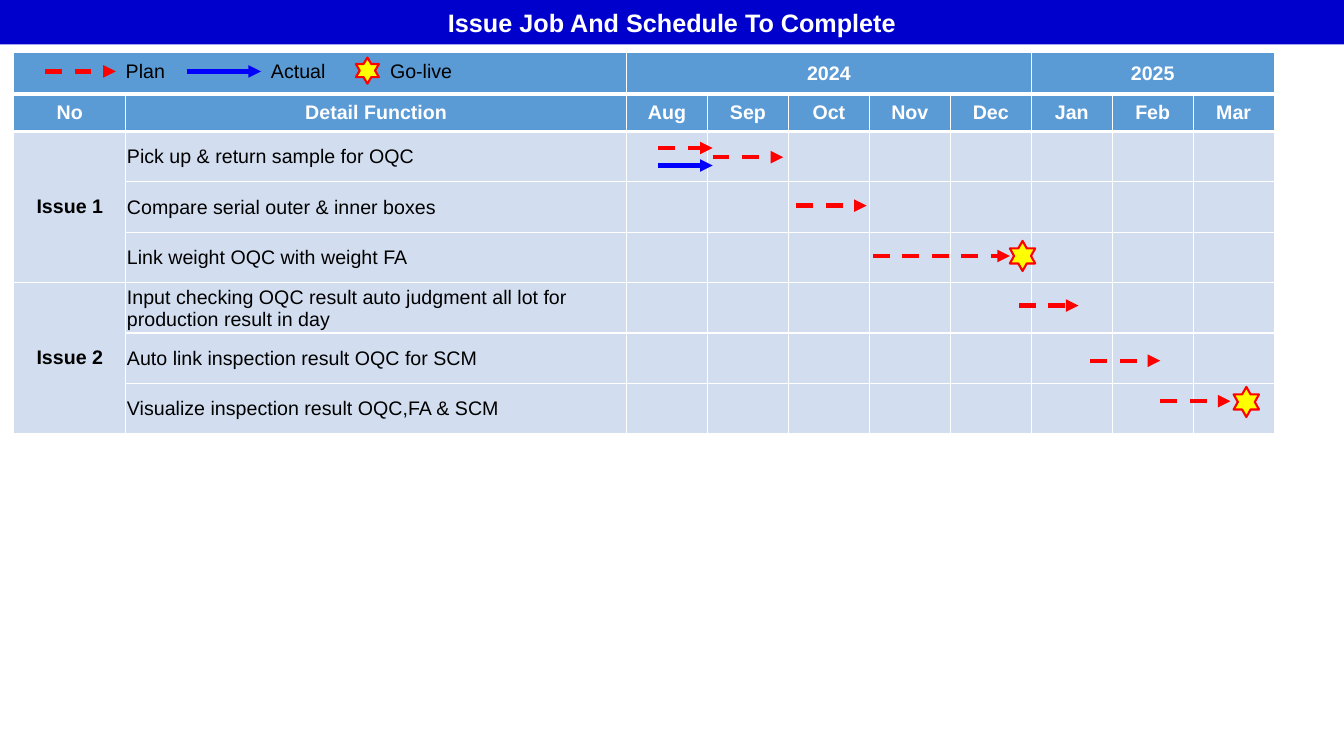
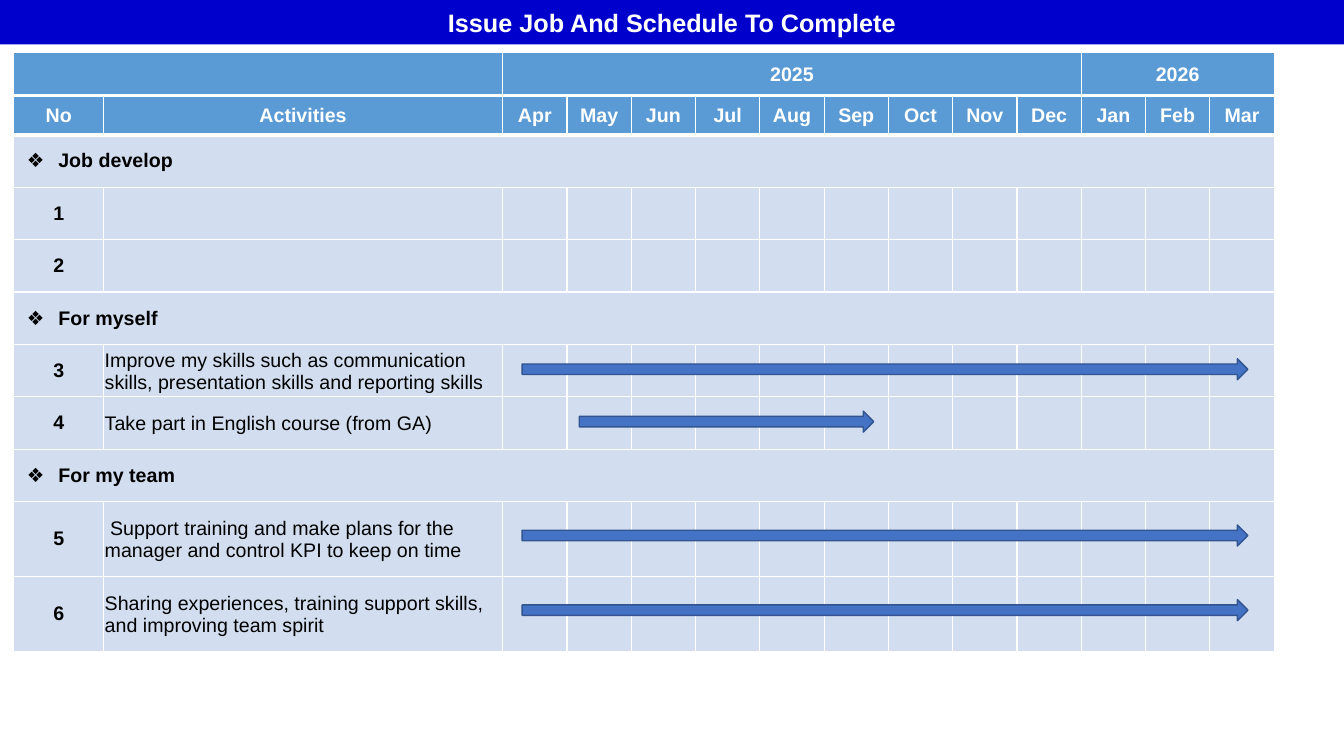
from lxml import etree
from pptx import Presentation
from pptx.dml.color import RGBColor
from pptx.enum.dml import MSO_LINE
from pptx.enum.shapes import MSO_CONNECTOR, MSO_SHAPE
from pptx.enum.text import MSO_ANCHOR, PP_ALIGN
from pptx.oxml import parse_xml
from pptx.oxml.ns import nsdecls, qn
from pptx.util import Cm, Pt

DASH = MSO_LINE.DASH
STRAIGHT = MSO_CONNECTOR.STRAIGHT
STAR, ARROW = MSO_SHAPE.STAR_6_POINT, MSO_SHAPE.RIGHT_ARROW
MIDDLE = MSO_ANCHOR.MIDDLE
LEFT, CENTER = PP_ALIGN.LEFT, PP_ALIGN.CENTER

HEX = {
    "banner": "0000CC", "header": "5B9BD5", "body": "D2DEEF",
    "white": "FFFFFF", "black": "000000",
    "plan": "FF0000", "actual": "0000FF", "star": "FFFF00",
    "bar": "4472C4", "bar edge": "325491",
}
RGB = {name: RGBColor.from_string(value) for name, value in HEX.items()}
TITLE = "Issue Job And Schedule To Complete"
FONT = "Arial"


def put_text(tf, text, size=14, bold=False, color="black", align=LEFT, bullet=None):
    p = tf.paragraphs[0]
    p.alignment = align
    if bullet:
        pPr = p._p.get_or_add_pPr()
        pPr.set("marL", str(Cm(0.79)))
        pPr.set("indent", str(-Cm(0.79)))
        etree.SubElement(pPr, qn("a:buFont")).set("typeface", FONT)
        etree.SubElement(pPr, qn("a:buChar")).set("char", bullet)
    r = p.add_run()
    r.text = text
    r.font.name = FONT
    r.font.size = Pt(size)
    r.font.bold = bold
    r.font.color.rgb = RGB[color]


def add_schedule(prs, widths, heights, years, headings, rows):
    """Add a slide with the title band and a schedule table.

    A row is (number, task). Number None continues the cell above;
    task None makes the row a section heading across the table.
    """
    s = prs.slides.add_slide(prs.slide_layouts[5])
    title = s.shapes.title
    title.left, title.top, title.width, title.height = 0, 0, prs.slide_width, Cm(1.12)
    title.fill.solid()
    title.fill.fore_color.rgb = RGB["banner"]
    title.text_frame.vertical_anchor = MIDDLE
    put_text(title.text_frame, TITLE, size=18, bold=True, color="white", align=CENTER)

    n_rows, n_cols = len(heights), len(widths)
    table = s.shapes.add_table(n_rows, n_cols, Cm(0.35), Cm(1.33),
                               Cm(sum(widths)), Cm(sum(heights))).table
    table.horz_banding = False
    for column, width in zip(table.columns, widths):
        column.width = Cm(width)
    for row, height in zip(table.rows, heights):
        row.height = Cm(height)

    for i in range(n_rows):
        for j in range(n_cols):
            cell = table.cell(i, j)
            cell.vertical_anchor = MIDDLE
            cell.margin_left = cell.margin_right = cell.margin_top = cell.margin_bottom = 0
            cell.fill.solid()
            cell.fill.fore_color.rgb = RGB["header" if i < 2 else "body"]
            borders = {"L": 1, "R": 1, "T": 3 if i in (1, 2) else 1, "B": 3 if i < 2 else 1}
            tcPr = cell._tc.get_or_add_tcPr()
            for k, (side, points) in enumerate(borders.items()):
                tcPr.insert(k, parse_xml(
                    f'<a:ln{side} {nsdecls("a")} w="{Pt(points)}"><a:solidFill>'
                    f'<a:srgbClr val="{HEX["white"]}"/></a:solidFill></a:ln{side}>'))

    table.cell(0, 0).merge(table.cell(0, 1))
    first = 2
    for year, months in years:
        table.cell(0, first).merge(table.cell(0, first + months - 1))
        put_text(table.cell(0, first).text_frame, year, bold=True, color="white", align=CENTER)
        first += months
    for j, heading in enumerate(headings):
        put_text(table.cell(1, j).text_frame, heading, bold=True, color="white", align=CENTER)

    for i, (number, task) in enumerate(rows, start=2):
        cell = table.cell(i, 0)
        if number:
            last = i
            while last - 1 < len(rows) and rows[last - 1][0] is None:
                last += 1
            if last > i:
                cell.merge(table.cell(last, 0))
            cell.margin_left = cell.margin_right = Cm(0.33)
            if task is None:
                cell.merge(table.cell(i, n_cols - 1))
                put_text(cell.text_frame, number, bold=True, bullet="❖")
            else:
                put_text(cell.text_frame, number, bold=True, align=CENTER)
        if task:
            cell = table.cell(i, 1)
            cell.margin_left = cell.margin_right = cell.margin_top = Cm(0.03)
            put_text(cell.text_frame, task)
    return s


prs = Presentation()
prs.slide_width, prs.slide_height = Cm(33.87), Cm(19.05)

# Slide 1: issues
s = add_schedule(
    prs,
    widths=[2.82, 12.62] + [2.04] * 8,
    heights=[1.03, 0.95] + [1.27] * 6,
    years=[("2024", 5), ("2025", 3)],
    headings=["No", "Detail Function", "Aug", "Sep", "Oct", "Nov", "Dec", "Jan", "Feb", "Mar"],
    rows=[
        ("Issue 1", "Pick up & return sample for OQC"),
        (None, "Compare serial outer & inner boxes"),
        (None, "Link weight OQC with weight FA"),
        ("Issue 2", "Input checking OQC result auto judgment all lot for production result in day"),
        (None, "Auto link inspection result OQC for SCM"),
        (None, "Visualize inspection result OQC,FA & SCM"),
    ])

for label, left, width in [("Plan", 2.92, 1.5), ("Actual", 6.58, 1.9), ("Go-live", 9.58, 2.08)]:
    sp = s.shapes.add_textbox(Cm(left), Cm(1.37), Cm(width), Cm(0.86))
    sp.text_frame.word_wrap = False
    put_text(sp.text_frame, label)

# Start, end and height of each arrow; the first of each kind is in the legend
spans = {
    "plan": [(1.14, 2.92, 1.8), (16.59, 17.96, 3.73), (17.96, 19.74, 3.96),
             (20.07, 21.84, 5.18), (22, 25.45, 6.45), (25.68, 27.18, 7.7),
             (27.48, 29.24, 9.09), (29.24, 31.01, 10.11)],
    "actual": [(4.7, 6.58, 1.8), (16.59, 17.96, 4.17)],
}
for kind, places in spans.items():
    for start, end, y in places:
        line = s.shapes.add_connector(STRAIGHT, Cm(start), Cm(y), Cm(end), Cm(y))
        line.line.color.rgb = RGB[kind]
        line.line.width = Pt(3)
        if kind == "plan":
            line.line.dash_style = DASH
        etree.SubElement(line.line._get_or_add_ln(), qn("a:tailEnd")).set("type", "triangle")
        etree.SubElement(line._element.spPr, qn("a:effectLst"))

for left, top, width, height in [(8.97, 1.45, 0.58, 0.66), (25.45, 6.07, 0.64, 0.76),
                                 (31.09, 9.75, 0.64, 0.76)]:
    star = s.shapes.add_shape(STAR, Cm(left), Cm(top), Cm(width), Cm(height))
    star.shadow.inherit = False
    star.fill.solid()
    star.fill.fore_color.rgb = RGB["star"]
    star.line.color.rgb = RGB["plan"]
    star.line.width = Pt(1.5)

# Slide 2: activities
s = add_schedule(
    prs,
    widths=[2.26, 10.06] + [1.62] * 12,
    heights=[1.08, 0.99] + [1.32] * 7 + [1.89] * 2,
    years=[("2025", 9), ("2026", 3)],
    headings=["No", "Activities", "Apr", "May", "Jun", "Jul", "Aug", "Sep",
              "Oct", "Nov", "Dec", "Jan", "Feb", "Mar"],
    rows=[
        ("Job develop", None),
        ("1", ""),
        ("2", ""),
        ("For myself", None),
        ("3", "Improve my skills such as communication skills, "
              "presentation skills and reporting skills"),
        ("4", "Take part in English course (from GA)"),
        ("For my team", None),
        ("5", " Support training and make plans for the manager and control KPI to keep on time"),
        ("6", "Sharing experiences, training support skills, and improving team spirit"),
    ])

for left, top, width in [(13.16, 9.04, 18.29), (14.6, 10.36, 7.42),
                         (13.16, 13.23, 18.29), (13.16, 15.11, 18.29)]:
    bar = s.shapes.add_shape(ARROW, Cm(left), Cm(top), Cm(width), Cm(0.53))
    bar.shadow.inherit = False
    bar.fill.solid()
    bar.fill.fore_color.rgb = RGB["bar"]
    bar.line.color.rgb = RGB["bar edge"]
    bar.line.width = Pt(1)

prs.save("out.pptx")
